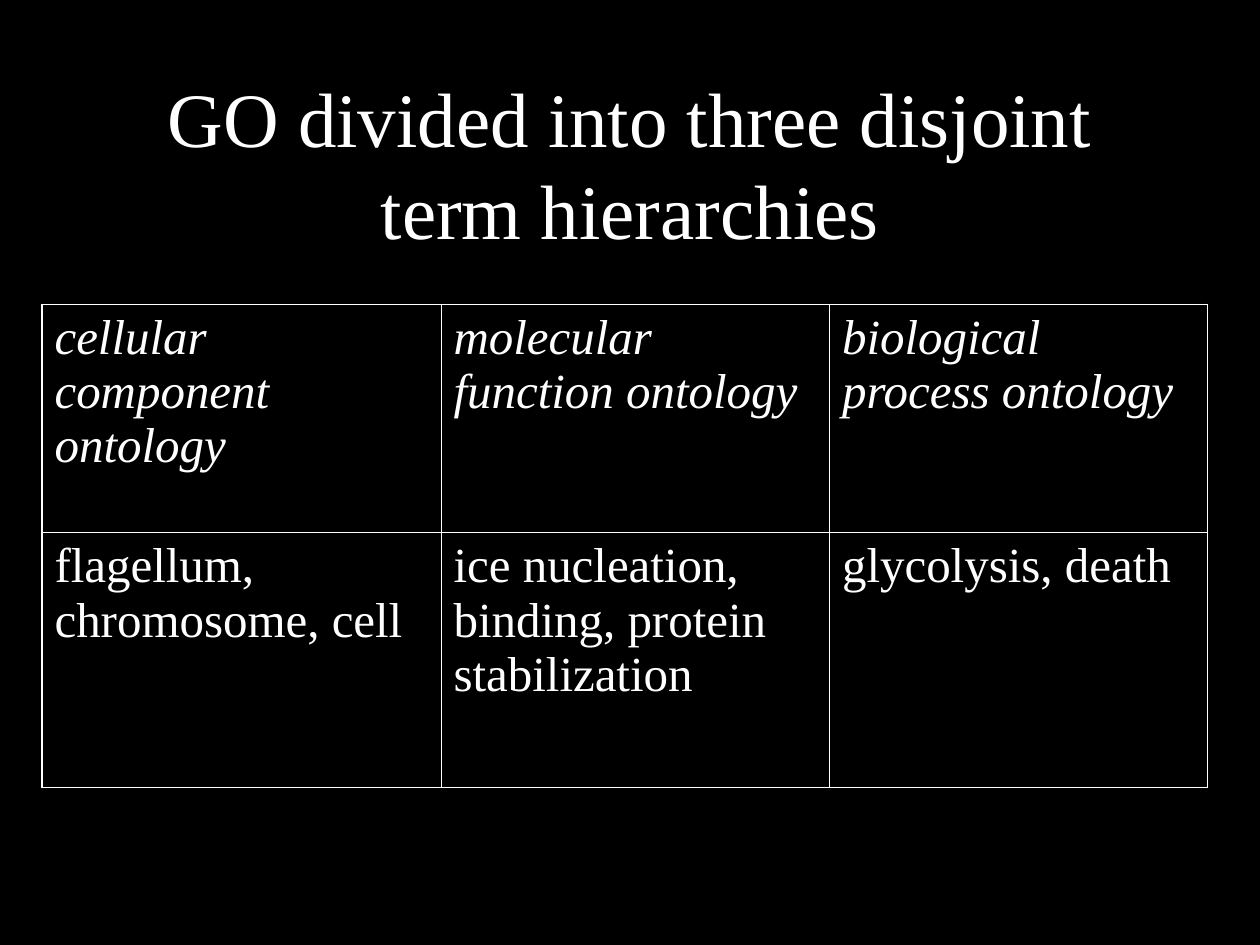
from pptx import Presentation
from pptx.dml.color import RGBColor
from pptx.enum.text import MSO_ANCHOR, PP_ALIGN
from pptx.oxml import parse_xml
from pptx.oxml.ns import nsdecls
from pptx.util import Inches, Pt

BLACK = RGBColor(0x00, 0x00, 0x00)
WHITE = RGBColor(0xFF, 0xFF, 0xFF)
FONT = "Times New Roman"
CENTER, LEFT = PP_ALIGN.CENTER, PP_ALIGN.LEFT
MIDDLE = MSO_ANCHOR.MIDDLE
BLANK = 6
THICK, THIN = 1.08, 0.45

TITLE = "GO divided into three disjoint term hierarchies"
HEADINGS = ["cellular component ontology", "molecular function ontology",
            "biological process ontology"]
EXAMPLES = ["flagellum, chromosome, cell",
            "ice nucleation, binding, protein stabilization",
            "glycolysis, death"]


class SlideBuilder:
    """Holds the style and current slide; lengths are in cells of a 120 by 90 grid."""

    def __init__(self, prs):
        self.unit = prs.slide_width / 120
        self.s = prs.slides.add_slide(prs.slide_layouts[BLANK])
        fill = self.s.background.fill
        fill.solid()
        fill.fore_color.rgb = BLACK

    def grid(self, *cells):
        return [round(n * self.unit) for n in cells]

    def add_text(self, tf, text, size, align=LEFT, italic=False):
        tf.word_wrap = True
        p = tf.paragraphs[0]
        p.alignment = align
        r = p.add_run()
        r.text = text
        r.font.name = FONT
        r.font.size = Pt(size)
        r.font.italic = italic
        r.font.color.rgb = WHITE

    def title(self, text, box):
        sp = self.s.shapes.add_textbox(*self.grid(*box))
        sp.text_frame.vertical_anchor = MIDDLE
        self.add_text(sp.text_frame, text, 44, CENTER)

    def border(self, cell, sides):
        """Rule the cell's sides, given as {L, R, T, B: width in points}."""
        tc_pr = cell._tc.get_or_add_tcPr()
        for i, (side, width) in enumerate(sides.items()):
            tc_pr.insert(i, parse_xml(
                f'<a:ln{side} {nsdecls("a")} w="{int(Pt(width))}"><a:solidFill>'
                f'<a:srgbClr val="{WHITE}"/></a:solidFill></a:ln{side}>'))

    def table(self, rows, box, widths, heights):
        """Heading row in italics; outer edges are thicker than inner ones."""
        last_row, last_col = len(rows) - 1, len(widths) - 1
        frame = self.s.shapes.add_table(len(rows), len(widths), *self.grid(*box))
        table = frame.table
        table.horz_banding = False
        for column, width in zip(table.columns, self.grid(*widths)):
            column.width = width
        for row, height in zip(table.rows, self.grid(*heights)):
            row.height = height
        for i, texts in enumerate(rows):
            for j, text in enumerate(texts):
                cell = table.cell(i, j)
                cell.fill.background()
                self.add_text(cell.text_frame, text, 28, italic=i == 0)
                outer = {"L": j == 0, "R": j == last_col,
                         "T": i == 0, "B": i == last_row}
                self.border(cell, {side: THICK if edge else THIN
                                   for side, edge in outer.items()})


def main():
    prs = Presentation()
    prs.slide_width, prs.slide_height = Inches(10), Inches(7.5)
    slide = SlideBuilder(prs)
    slide.title(TITLE, (9, 8, 102, 15))
    slide.table([HEADINGS, EXAMPLES], (4, 29, 111, 46),
                widths=(38, 37, 36), heights=(21.75, 24.25))
    prs.save("out.pptx")


if __name__ == "__main__":
    main()
